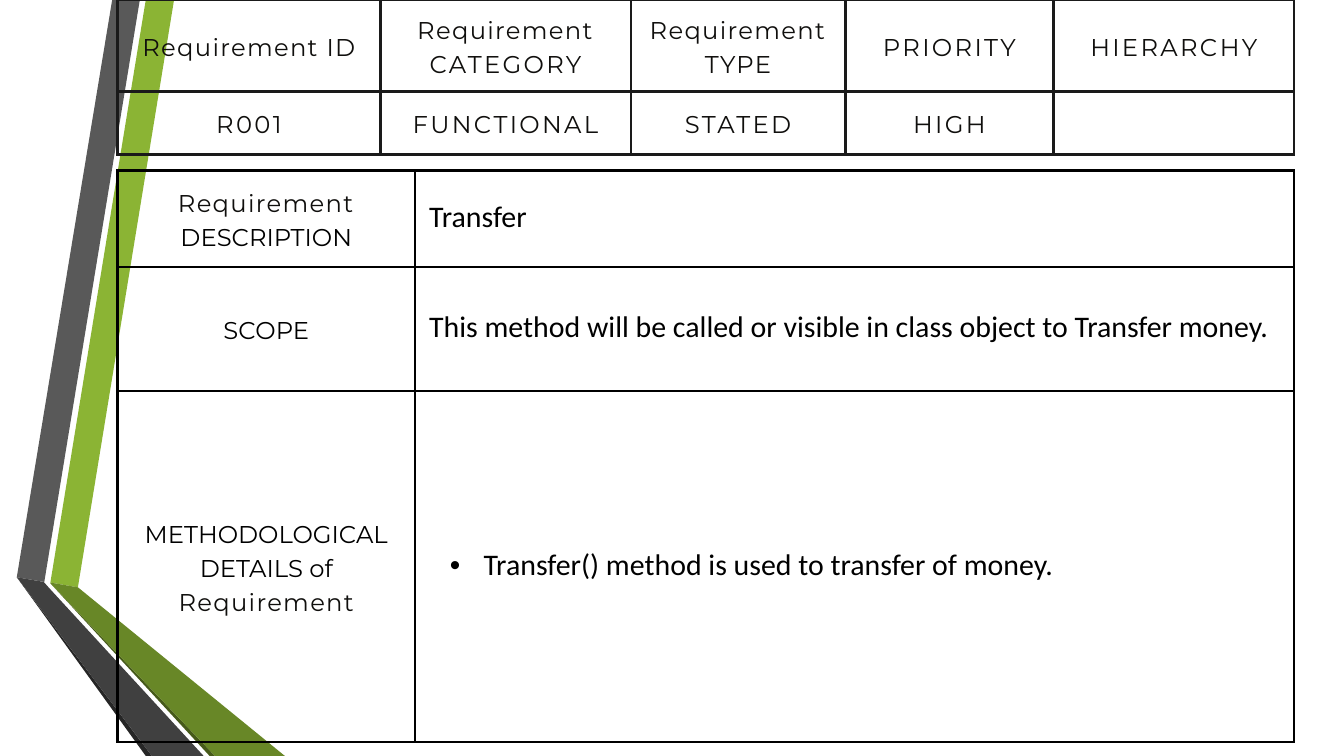
from dataclasses import dataclass
from typing import NamedTuple

import pptx
import pptx.dml.color
import pptx.enum.text
import pptx.oxml
import pptx.oxml.ns
import pptx.util

Pt = pptx.util.Pt
RGB = pptx.dml.color.RGBColor.from_string
ALIGN = pptx.enum.text.PP_ALIGN


@dataclass(frozen=True)
class Theme:
    ink: str = "100F0D"
    dark: str = "010101"
    black: str = "000000"
    frame: str = "1A1A1A"
    head: str = "Montserrat"
    body: str = "Calibri"
    small: float = 26
    large: float = 32
    line: float = 36.4
    border: float = 3


THEME = Theme()


class Ribbon(NamedTuple):
    color: str
    points: list[tuple[float, float]]


class Run(NamedTuple):
    text: str
    color: str = THEME.ink
    space: float = 0


class Item(NamedTuple):
    runs: list[Run]
    label: bool = True
    bullet: bool = False


class Grid(NamedTuple):
    top: float
    cols: list[float]
    rows: list[float]
    inset: float
    color: str
    cells: list[list[Item]]


RIBBONS = [
    Ribbon("8BB434", [(54, 624.2), (83.5, 629.3), (186.5, 0), (156.2, 0)]),
    Ribbon("595959", [(149.8, 0), (120.2, 0), (18, 618.5), (47.5, 623.5)]),
    Ribbon("262626", [(18, 618.5), (156.2, 810), (162.7, 810)]),
    Ribbon("465A1A", [(54, 625), (224.6, 810), (230.4, 810)]),
    Ribbon("688727", [(54, 625), (230.4, 810), (305.3, 810), (83.5, 629.3), (54, 624.2)]),
    Ribbon("404040", [(218.2, 810), (52.6, 630), (46.8, 623.5), (18, 618.5), (162.7, 810)]),
]


def label(text: str, space: float = 2.5) -> Item:
    return Item([Run(text, space=space)])


def body(text: str, bullet: bool = False) -> Item:
    return Item([Run(text, THEME.black)], label=False, bullet=bullet)


GRIDS = [
    Grid(0, [281.5, 268.5, 229.7, 223.2, 257.8], [97.9, 67.7], 8.64, THEME.frame, [
        [label("Requirement ID", 1.4),
         Item([Run("Requirement ", space=1.4), Run("CATEGORY", space=2.5)]),
         label("Requirement TYPE", 1.4), label("PRIORITY"), label("HIERARCHY")],
        [label("R001"), label("FUNCTIONAL"), label("STATED"), label("HIGH"), Item([])],
    ]),
    Grid(182.9, [318.7, 942], [97.2, 133.2, 375.8], 15.1, THEME.black, [
        [Item([Run("Requirement ", space=1.4), Run("DESCRIPTION", THEME.dark)]),
         body("Transfer")],
        [Item([Run("SCOPE", THEME.black)]),
         body("This method will be called or visible in class object to Transfer money.")],
        [Item([Run("METHODOLOGICAL DETAILS of ", THEME.black), Run("Requirement", space=1.4)]),
         body("Transfer() method is used to transfer of money.", bullet=True)],
    ]),
]


def draw_ribbon(slide: pptx.slide.Slide, ribbon: Ribbon) -> None:
    spots = [(Pt(x), Pt(y)) for x, y in ribbon.points]
    form = slide.shapes.build_freeform(*spots[0])
    form.add_line_segments(spots[1:], close=True)
    shape = form.convert_to_shape()
    shape.shadow.inherit = False
    shape.fill.solid()
    shape.fill.fore_color.rgb = RGB(ribbon.color)
    shape.line.fill.background()


def add_text(para, text: str, *, font: str, size: float, color: str, space: float = 0) -> None:
    run = para.add_run()
    run.text = text
    run.font.name = font
    run.font.size = Pt(size)
    run.font.color.rgb = RGB(color)
    run.font._element.set("spc", str(round(space * 100)))


def add_bullet(para) -> None:
    para.level = 1
    props = para._p.get_or_add_pPr()
    props.set("marL", str(Pt(58.3)))
    props.set("indent", str(Pt(-36)))
    names = pptx.oxml.ns.nsdecls("a")
    props.append(pptx.oxml.parse_xml(f'<a:buFont {names} typeface="Arial"/>'))
    props.append(pptx.oxml.parse_xml(f'<a:buChar {names} char="•"/>'))


def add_border(cell, color: str) -> None:
    props = cell._tc.get_or_add_tcPr()
    for side in ("lnL", "lnR", "lnT", "lnB"):
        props.append(pptx.oxml.parse_xml(
            f'<a:{side} {pptx.oxml.ns.nsdecls("a")} w="{Pt(THEME.border)}">'
            f'<a:solidFill><a:srgbClr val="{color}"/></a:solidFill></a:{side}>'))


def fill_cell(cell, item: Item, grid: Grid) -> None:
    add_border(cell, grid.color)
    cell.fill.background()
    cell.vertical_anchor = pptx.enum.text.MSO_ANCHOR.MIDDLE
    cell.margin_left = cell.margin_right = Pt(grid.inset)
    cell.margin_top = cell.margin_bottom = Pt(grid.inset)
    para = cell.text_frame.paragraphs[0]
    para.alignment = ALIGN.CENTER if item.label else ALIGN.LEFT
    para.line_spacing = Pt(THEME.line)
    if item.bullet:
        add_bullet(para)
    for run in item.runs:
        add_text(para, run.text, color=run.color, space=run.space,
                 font=THEME.head if item.label else THEME.body,
                 size=THEME.small if item.label else THEME.large)


def draw_grid(slide: pptx.slide.Slide, grid: Grid) -> None:
    table = slide.shapes.add_table(
        len(grid.rows), len(grid.cols), Pt(126), Pt(grid.top),
        Pt(sum(grid.cols)), Pt(sum(grid.rows))).table
    table.first_row = table.horz_banding = False
    for col, width in zip(table.columns, grid.cols):
        col.width = Pt(width)
    for row, height, items in zip(table.rows, grid.rows, grid.cells):
        row.height = Pt(height)
        for cell, item in zip(row.cells, items):
            fill_cell(cell, item, grid)


def main() -> None:
    deck = pptx.Presentation()
    deck.slide_width, deck.slide_height = Pt(1440), Pt(810)
    slide = deck.slides.add_slide(deck.slide_layouts[6])
    for ribbon in RIBBONS:
        draw_ribbon(slide, ribbon)
    for grid in GRIDS:
        draw_grid(slide, grid)
    deck.save("out.pptx")


if __name__ == "__main__":
    main()
